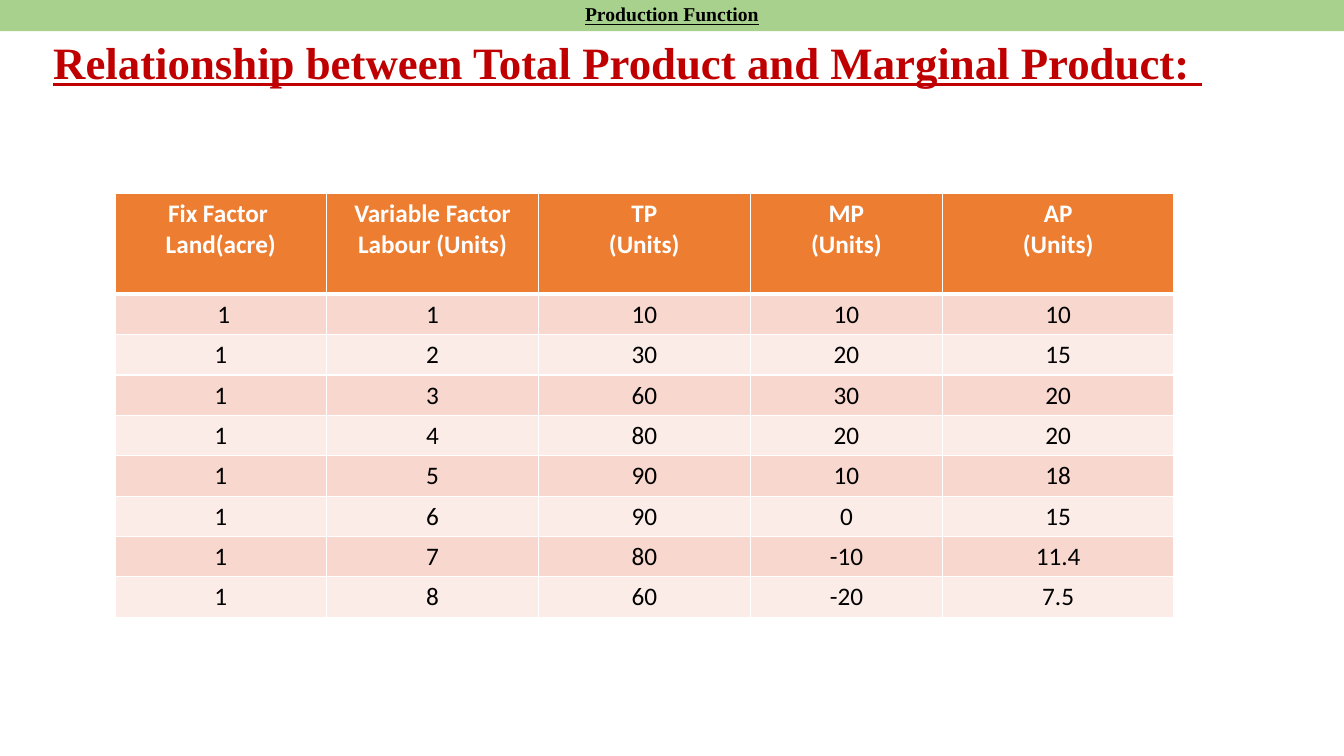
from lxml import etree
from pptx import Presentation
from pptx import util as u
from pptx.dml.color import RGBColor
from pptx.enum import shapes, text
from pptx.oxml import ns

BANNER = "Production Function"
TITLE = "Relationship between Total Product and Marginal Product: "
HEADINGS = [
    "Fix Factor \nLand(acre)",
    "Variable Factor Labour (Units)",
    "TP\n(Units)",
    "MP\n(Units)",
    "AP\n(Units)",
]
ROWS = [
    (" 1", "1", "10", "10", "10"),
    ("1", "2", "30", "20", "15"),
    ("1", "3", "60", "30", "20"),
    ("1", "4", "80", "20", "20"),
    ("1", "5", "90", "10", "18"),
    ("1", "6", "90", "0", "15"),
    ("1", "7", "80", "-10", "11.4"),
    ("1", "8", "60", "-20", "7.5"),
]
COLUMN_WIDTHS = [2.1, 2.1, 2.1, 1.91, 2.29]
HEADER_HEIGHT, ROW_HEIGHT = 1.0, 0.4
HEADER_FILL, BANDS = "ED7D31", ("F8D7CE", "FCECE8")
SERIF, SANS = "Times New Roman", "Calibri"


def color(hex_value):
    return RGBColor.from_string(hex_value)


def fill_with(item, hex_value):
    item.fill.solid()
    item.fill.fore_color.rgb = color(hex_value)


def write(frame, words, size, font, hex_value, bold, underline, align):
    frame.text = words
    for para in frame.paragraphs:
        para.alignment = align
        for span in para.runs:
            span.font.size = u.Pt(size)
            span.font.name = font
            span.font.bold = bold
            span.font.underline = underline
            span.font.color.rgb = color(hex_value)


def add_borders(cell, bottom_width):
    properties = cell._tc.get_or_add_tcPr()
    widths = {"a:lnL": 1, "a:lnR": 1, "a:lnT": 1, "a:lnB": bottom_width}
    for position, (side, width) in enumerate(widths.items()):
        line = etree.Element(ns.qn(side), w=str(u.Pt(width)))
        solid = etree.SubElement(line, ns.qn("a:solidFill"))
        etree.SubElement(solid, ns.qn("a:srgbClr"), val="FFFFFF")
        properties.insert(position, line)


def add_title(page):
    box = page.shapes.add_textbox(u.Inches(0.43), u.Inches(0.33), u.Inches(12.76), u.Inches(0.63))
    frame = box.text_frame
    frame.word_wrap = True
    frame.vertical_anchor = text.MSO_ANCHOR.MIDDLE
    write(frame, TITLE, 32, SERIF, "C00000", True, True, text.PP_ALIGN.LEFT)
    frame.paragraphs[0].line_spacing = 0.9


def add_product_table(page):
    height = HEADER_HEIGHT + ROW_HEIGHT * len(ROWS)
    table = page.shapes.add_table(
        len(ROWS) + 1, len(HEADINGS), u.Inches(1.14), u.Inches(1.92),
        u.Inches(sum(COLUMN_WIDTHS)), u.Inches(height)).table
    for column, width in zip(table.columns, COLUMN_WIDTHS):
        column.width = u.Inches(width)
    for number, values in enumerate([HEADINGS] + ROWS):
        header = number == 0
        table.rows[number].height = u.Inches(HEADER_HEIGHT if header else ROW_HEIGHT)
        for cell, value in zip(table.rows[number].cells, values):
            fill_with(cell, HEADER_FILL if header else BANDS[(number - 1) % 2])
            add_borders(cell, 3 if header else 1)
            write(cell.text_frame, value, 18, SANS, "FFFFFF" if header else "000000",
                  header, False, text.PP_ALIGN.CENTER)


def add_banner(page):
    banner = page.shapes.add_shape(
        shapes.MSO_SHAPE.RECTANGLE, 0, u.Inches(-0.03), u.Inches(13.33), u.Inches(0.34))
    banner.shadow.inherit = False
    fill_with(banner, "A9D18E")
    banner.line.fill.background()
    banner.text_frame.word_wrap = True
    write(banner.text_frame, BANNER, 14, SERIF, "000000", True, True, text.PP_ALIGN.CENTER)


def main():
    deck = Presentation()
    deck.slide_width, deck.slide_height = u.Inches(13.33), u.Inches(7.5)
    page = deck.slides.add_slide(deck.slide_layouts[6])
    add_title(page)
    add_product_table(page)
    add_banner(page)
    deck.save("out.pptx")


if __name__ == "__main__":
    main()
